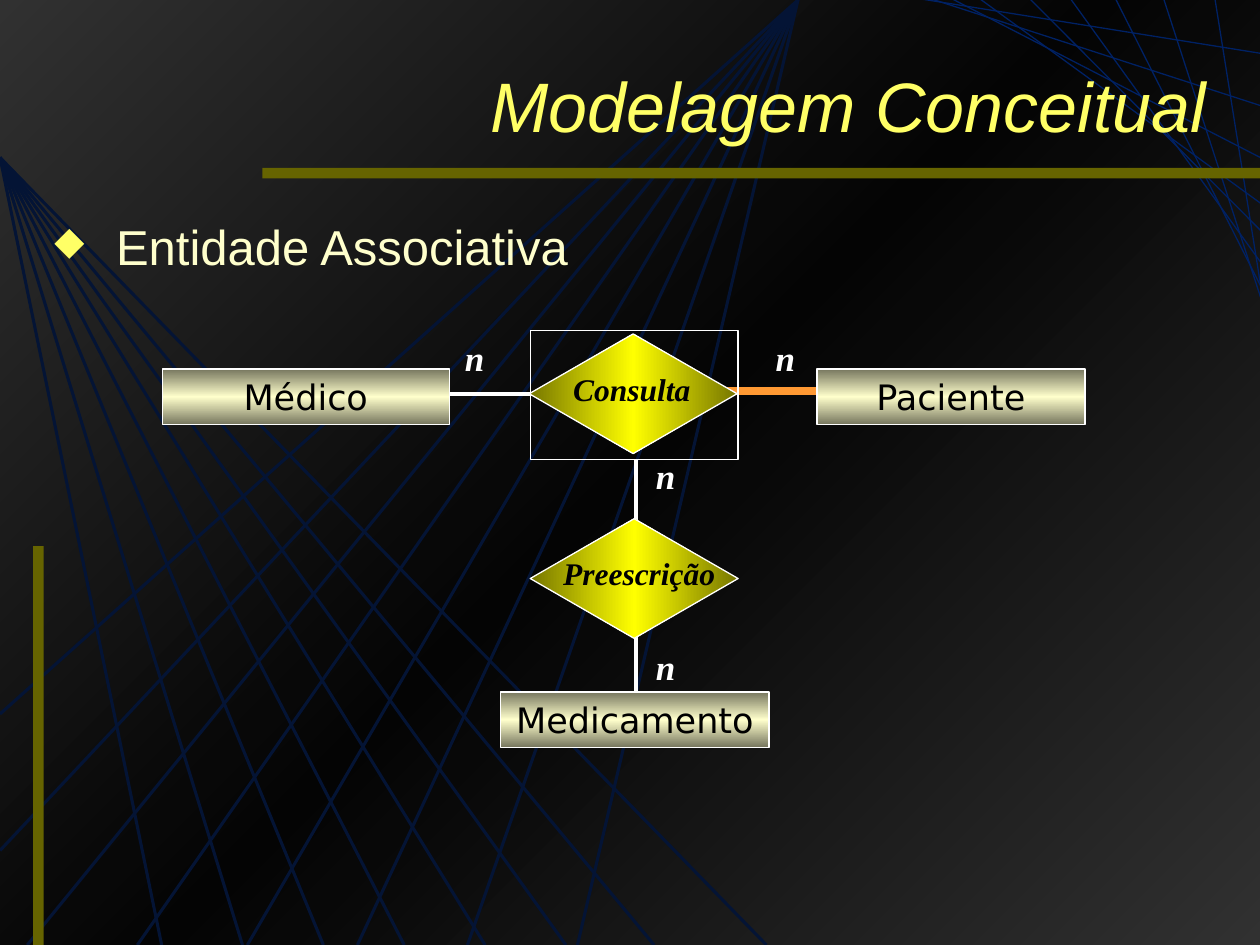
from copy import deepcopy
from dataclasses import dataclass

from lxml.etree import SubElement
from pptx import Presentation
from pptx.dml.color import RGBColor
from pptx.enum.shapes import MSO_CONNECTOR, MSO_SHAPE
from pptx.enum.text import MSO_ANCHOR, MSO_AUTO_SIZE, PP_ALIGN
from pptx.oxml.ns import qn
from pptx.util import Emu, Inches, Pt

# The slide is a grid of 120 columns by 90 rows of square cells
WIDTH, HEIGHT = Inches(10), Inches(7.5)
COLUMNS, ROWS = 120, 90
CELL = WIDTH / COLUMNS


@dataclass(frozen=True)
class Theme:
    edge: str = "5C5C5C"
    black: str = "000000"
    veil: str = "080808"
    ray: str = "002164"
    bar: str = "666400"
    title: str = "FFFF66"
    body: str = "FFFFCC"
    white: str = "FFFFFF"
    orange: str = "FF9933"
    entity: tuple = ("76765E", "FFFFCC")
    relation: tuple = ("767600", "FFFF00")
    sans: str = "Arial"
    entity_font: str = "DejaVu Sans"
    serif: str = "Times New Roman"
    title_size: int = 40
    body_size: int = 28
    entity_size: int = 20
    relation_size: int = 18
    outline: float = 0.75


THEME = Theme()


@dataclass(frozen=True)
class Box:
    col: float
    row: float
    cols: float
    rows: float

    def place(self) -> list:
        return [cells(n) for n in (self.col, self.row, self.cols, self.rows)]


@dataclass(frozen=True)
class Link:
    start: tuple
    end: tuple
    color: str
    weight: float


@dataclass(frozen=True)
class Relation:
    name: str
    diamond: Box
    label: Box


def cells(count: float) -> Emu:
    return Emu(round(count * CELL))


def rgb(code: str) -> RGBColor:
    return RGBColor.from_string(code)


def mirror_gradient(fill, owner, edge: str, middle: str, angle: float) -> None:
    """Run from edge to middle and back to edge."""
    fill.gradient()
    fill.gradient_angle = angle
    for stop, color, position in zip(fill.gradient_stops, (edge, middle), (0, 0.5)):
        stop.color.rgb = rgb(color)
        stop.position = position
    stops = owner.find(".//" + qn("a:gsLst"))
    last = deepcopy(stops[0])
    last.set("pos", "100000")
    stops.append(last)


def add_line(shapes, link: Link) -> None:
    ends = [cells(n) for n in (*link.start, *link.end)]
    line = shapes.add_connector(MSO_CONNECTOR.STRAIGHT, *ends)
    line.line.color.rgb = rgb(link.color)
    line.line.width = Pt(link.weight)
    SubElement(line._element.spPr, qn("a:effectLst"))


def add_block(shapes, box: Box, kind=MSO_SHAPE.RECTANGLE, *, solid=None,
              gradient=None, angle=0, outline=None):
    block = shapes.add_shape(kind, *box.place())
    block.shadow.inherit = False
    if gradient:
        mirror_gradient(block.fill, block._element.spPr, *gradient, angle)
    elif solid:
        block.fill.solid()
        block.fill.fore_color.rgb = rgb(solid)
    else:
        block.fill.background()
    if outline:
        block.line.color.rgb = rgb(outline)
        block.line.width = Pt(THEME.outline)
    else:
        block.line.fill.background()
    return block


def write(shape, text: str, *, font: str, size: float, color: str, bold=False,
          italic=False, align=PP_ALIGN.LEFT, anchor=MSO_ANCHOR.TOP, wrap=True):
    frame = shape.text_frame
    frame.word_wrap = wrap
    frame.vertical_anchor = anchor
    paragraph = frame.paragraphs[0]
    paragraph.alignment = align
    run = paragraph.add_run()
    run.text = text
    run.font.name, run.font.size = font, Pt(size)
    run.font.bold, run.font.italic = bold, italic
    run.font.color.rgb = rgb(color)
    return paragraph


def add_label(shapes, box: Box, text: str, *, size: float, color: str) -> None:
    label = shapes.add_textbox(*box.place())
    write(label, text, font=THEME.serif, size=size, color=color,
          bold=True, italic=True, wrap=False)
    label.text_frame.auto_size = MSO_AUTO_SIZE.SHAPE_TO_FIT_TEXT


def add_bullet(paragraph, symbol: str, color: str, percent: int, indent: float) -> None:
    properties = paragraph._p.get_or_add_pPr()
    properties.set("marL", str(Inches(indent)))
    properties.set("indent", str(-Inches(indent)))
    tint = SubElement(properties, qn("a:buClr"))
    SubElement(tint, qn("a:srgbClr"), val=color)
    SubElement(properties, qn("a:buSzPct"), val=str(percent * 1000))
    SubElement(properties, qn("a:buChar"), char=symbol)


def draw_backdrop(slide) -> None:
    shapes = slide.shapes
    mirror_gradient(slide.background.fill, slide._element, THEME.edge, THEME.black, 315)

    # Two fans of rays under a translucent veil
    upper = [(0, 68), (0, 81)] + [(2.6 + 10.48 * i, ROWS) for i in range(6)]
    left = [(15.4 + 7.7 * i, ROWS) for i in range(6)] + [(62.3, ROWS), (73, ROWS)]
    for source, targets in (((76, 0), upper), ((0, 15), left)):
        for target in targets:
            add_line(shapes, Link(source, target, THEME.ray, 1.75))
    veil = add_block(shapes, Box(0, 0, COLUMNS, ROWS), solid=THEME.veil)
    tint = veil._element.spPr.find(".//" + qn("a:srgbClr"))
    SubElement(tint, qn("a:alpha"), val="50000")

    # Web of thin rays: column at the top edge, row at the right edge
    web = [(106.2, 28.7), (88.4, 10.3), (98, 22.7), (115.7, 31.8), (93.2, 19.9),
           (110.8, 30.6), (101.9, 26), (90.5, 15.4), (87.1, 5.2)]
    for col, row in web:
        add_line(shapes, Link((120.8, row), (col, -0.2), THEME.ray, 0.75))

    for bar in (Box(25, 16, 95, 1), Box(3.15, 52, 1, 38)):
        add_block(shapes, bar, solid=THEME.bar)


def draw_headings(shapes) -> None:
    title = shapes.add_textbox(*Box(18, 5, 98, 10).place())
    write(title, "Modelagem Conceitual", font=THEME.sans, size=THEME.title_size,
          color=THEME.title, italic=True, align=PP_ALIGN.RIGHT, anchor=MSO_ANCHOR.MIDDLE)
    topic = shapes.add_textbox(*Box(4, 20, 107, 63).place())
    paragraph = write(topic, "Entidade Associativa", font=THEME.sans,
                      size=THEME.body_size, color=THEME.body)
    paragraph.space_before = Pt(0.2 * THEME.body_size)
    add_bullet(paragraph, "◆", THEME.title, 80, 0.49)


def draw_diagram(shapes) -> None:
    links = [Link((60.6, 68.4), (60.6, 43.8), THEME.white, 2.25),
             Link((89.4, 37.2), (61.9, 37.2), THEME.orange, 4.5),
             Link((68.5, 37.55), (40.9, 37.55), THEME.white, 2.25)]
    for link in links:
        add_line(shapes, link)

    entities = {"Paciente": Box(77.8, 35.15, 25.55, 5.3),
                "Médico": Box(15.45, 35.15, 27.35, 5.3),
                "Medicamento": Box(47.7, 65.9, 25.55, 5.3)}
    for name, box in entities.items():
        entity = add_block(shapes, box, gradient=THEME.entity, angle=90, outline=THEME.white)
        write(entity, name, font=THEME.entity_font, size=THEME.entity_size,
              color=THEME.black, align=PP_ALIGN.CENTER, anchor=MSO_ANCHOR.MIDDLE, wrap=False)

    relations = [
        Relation("Consulta", Box(50.4, 31.8, 19.8, 11.4), Box(53.4, 34.65, 13.55, 4.8)),
        Relation("Preescrição", Box(50.5, 49.4, 19.8, 11.4), Box(52.45, 52.2, 16.9, 4.8))]
    for relation in relations:
        add_block(shapes, relation.diamond, MSO_SHAPE.FLOWCHART_DECISION,
                  gradient=THEME.relation, outline=THEME.white)
        add_label(shapes, relation.label, relation.name,
                  size=THEME.relation_size, color=THEME.black)

    # Frame that makes Consulta an associative entity
    add_block(shapes, Box(50.5, 31.5, 19.8, 12.3), outline=THEME.white)

    for col, row in ((43.1, 31.5), (72.7, 31.5), (61.3, 42.7), (61.3, 60.85)):
        add_label(shapes, Box(col, row, 4.3, 5.2), "n",
                  size=THEME.entity_size, color=THEME.white)


def main() -> None:
    presentation = Presentation()
    presentation.slide_width, presentation.slide_height = WIDTH, HEIGHT
    slide = presentation.slides.add_slide(presentation.slide_layouts[6])
    draw_backdrop(slide)
    draw_headings(slide.shapes)
    draw_diagram(slide.shapes)
    presentation.save("out.pptx")


if __name__ == "__main__":
    main()
